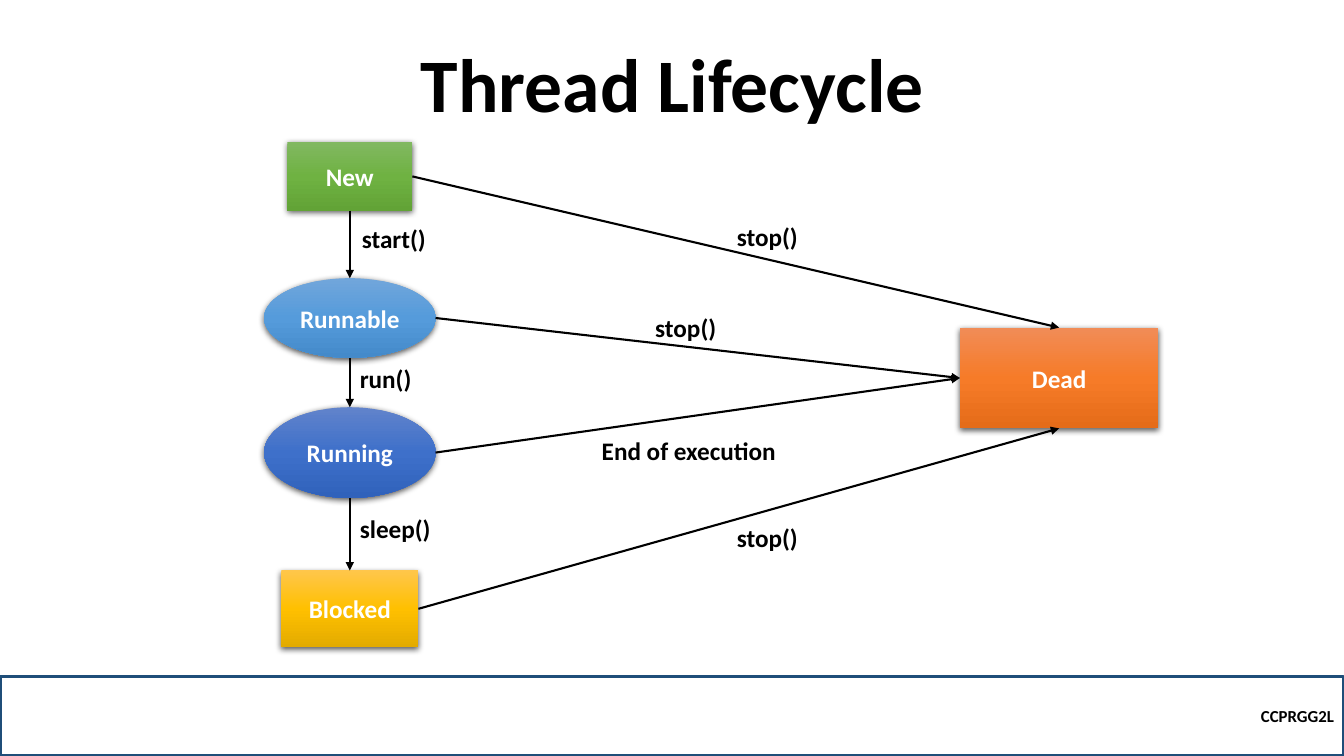
from copy import deepcopy

from lxml import etree
from pptx import Presentation
from pptx.dml.color import RGBColor
from pptx.enum.shapes import MSO_CONNECTOR, MSO_SHAPE
from pptx.enum.text import MSO_ANCHOR, MSO_AUTO_SIZE, PP_ALIGN
from pptx.oxml.ns import qn
from pptx.util import Inches, Pt

RECTANGLE, OVAL = MSO_SHAPE.RECTANGLE, MSO_SHAPE.OVAL
STRAIGHT = MSO_CONNECTOR.STRAIGHT
LEFT_ALIGN, CENTER, RIGHT_ALIGN = PP_ALIGN.LEFT, PP_ALIGN.CENTER, PP_ALIGN.RIGHT
ANCHOR_TOP, ANCHOR_MIDDLE, ANCHOR_BOTTOM = MSO_ANCHOR.TOP, MSO_ANCHOR.MIDDLE, MSO_ANCHOR.BOTTOM
NO_AUTOFIT, GROW = MSO_AUTO_SIZE.NONE, MSO_AUTO_SIZE.SHAPE_TO_FIT_TEXT
TOP, LEFT, BOTTOM, RIGHT = range(4)

BLACK = RGBColor(0x00, 0x00, 0x00)
WHITE = RGBColor(0xFF, 0xFF, 0xFF)
NAVY = RGBColor(0x1F, 0x4E, 0x79)
GREEN = (RGBColor(0x81, 0xB8, 0x61), RGBColor(0x6F, 0xB2, 0x42), RGBColor(0x62, 0xA3, 0x36))
ORANGE = (RGBColor(0xF1, 0x8C, 0x57), RGBColor(0xF6, 0x7B, 0x28), RGBColor(0xE5, 0x6C, 0x19))
SKY = (RGBColor(0x71, 0xA6, 0xDB), RGBColor(0x55, 0x9B, 0xDB), RGBColor(0x44, 0x8A, 0xCA))
BLUE = (RGBColor(0x61, 0x83, 0xCB), RGBColor(0x3E, 0x70, 0xCA), RGBColor(0x30, 0x62, 0xBB))
GOLD = (RGBColor(0xFF, 0xC6, 0x4B), RGBColor(0xFF, 0xC0, 0x00), RGBColor(0xE3, 0xAB, 0x00))


class Diagram:
    font = "Calibri"

    def __init__(self, slide):
        self.slide = slide

    def add_text(self, shape, text, size, color, align, anchor):
        frame = shape.text_frame
        frame.vertical_anchor = anchor
        paragraph = frame.paragraphs[0]
        paragraph.alignment = align
        run = paragraph.add_run()
        run.text = text
        run.font.name = self.font
        run.font.size = Pt(size)
        run.font.bold = True
        run.font.color.rgb = color
        return paragraph

    def title(self, text, left, top, width, height):
        shape = self.slide.shapes.title
        shape.left, shape.top = Inches(left), Inches(top)
        shape.width, shape.height = Inches(width), Inches(height)
        shape.text_frame.auto_size = NO_AUTOFIT
        paragraph = self.add_text(shape, text, 54, BLACK, CENTER, ANCHOR_BOTTOM)
        paragraph.line_spacing = 0.9

    def shape(self, kind, left, top, width, height):
        shape = self.slide.shapes.add_shape(
            kind, Inches(left), Inches(top), Inches(width), Inches(height))
        shape.shadow.inherit = False
        return shape

    def footer(self, text, left, top, width, height):
        shape = self.shape(RECTANGLE, left, top, width, height)
        shape.fill.background()
        shape.line.color.rgb = NAVY
        shape.line.width = Pt(2.25)
        self.add_text(shape, text, 12, BLACK, RIGHT_ALIGN, ANCHOR_MIDDLE)

    def state(self, text, kind, colors, left, top, width, height):
        shape = self.shape(kind, left, top, width, height)
        shape.line.fill.background()
        self.shade(shape, colors)
        self.cast_shadow(shape)
        self.add_text(shape, text, 18, WHITE, CENTER, ANCHOR_MIDDLE)
        return shape

    def shade(self, shape, colors):
        shape.fill.gradient()
        shape.fill.gradient_angle = 270
        stops = shape.element.spPr.find(qn("a:gradFill")).find(qn("a:gsLst"))
        stops.append(deepcopy(stops[0]))
        for index, (stop, color) in enumerate(zip(shape.fill.gradient_stops, colors)):
            stop.position = index / 2
            stop.color.rgb = color

    def cast_shadow(self, shape):
        effects = shape.element.spPr.find(qn("a:effectLst"))
        shadow = etree.SubElement(
            effects, qn("a:outerShdw"), blurRad=str(Pt(4.5)), dist=str(Pt(1.5)),
            dir="5400000", algn="ctr", rotWithShape="0")
        color = etree.SubElement(shadow, qn("a:srgbClr"), val=str(BLACK))
        etree.SubElement(color, qn("a:alpha"), val="63000")

    def side_point(self, shape, side):
        across = {LEFT: 0, RIGHT: shape.width}.get(side, shape.width // 2)
        down = {TOP: 0, BOTTOM: shape.height}.get(side, shape.height // 2)
        return shape.left + across, shape.top + down

    def arrow(self, source, source_side, target, target_side):
        connector = self.slide.shapes.add_connector(
            STRAIGHT, *self.side_point(source, source_side),
            *self.side_point(target, target_side))
        if source.auto_shape_type == RECTANGLE:
            connector.begin_connect(source, source_side)
        if target.auto_shape_type == RECTANGLE:
            connector.end_connect(target, target_side)
        connector.line.color.rgb = BLACK
        connector.line.width = Pt(1.5)
        properties = connector._element.spPr
        etree.SubElement(properties.find(qn("a:ln")), qn("a:tailEnd"), type="triangle")
        etree.SubElement(properties, qn("a:effectLst"))

    def label(self, text, left, top, width):
        box = self.slide.shapes.add_textbox(
            Inches(left), Inches(top), Inches(width), Inches(0.4))
        box.text_frame.word_wrap = False
        box.text_frame.auto_size = GROW
        self.add_text(box, text, 18, BLACK, LEFT_ALIGN, ANCHOR_TOP)


def main():
    presentation = Presentation()
    presentation.slide_width = Inches(13.33)
    presentation.slide_height = Inches(7.5)
    diagram = Diagram(presentation.slides.add_slide(presentation.slide_layouts[5]))

    diagram.title("Thread Lifecycle", 1.67, 0.54, 10, 0.79)
    diagram.footer("CCPRGG2L", 0, 6.71, 13.33, 0.79)

    new = diagram.state("New", RECTANGLE, GREEN, 2.85, 1.41, 1.24, 0.68)
    dead = diagram.state("Dead", RECTANGLE, ORANGE, 9.52, 3.25, 1.97, 1)
    runnable = diagram.state("Runnable", OVAL, SKY, 2.62, 2.76, 1.7, 0.79)
    running = diagram.state("Running", OVAL, BLUE, 2.62, 4.04, 1.7, 0.9)
    blocked = diagram.state("Blocked", RECTANGLE, GOLD, 2.79, 5.66, 1.36, 0.76)

    lifecycle = (new, runnable, running, blocked)
    for state, dead_side in zip(lifecycle, (TOP, LEFT, LEFT, BOTTOM)):
        diagram.arrow(state, RIGHT, dead, dead_side)
    for state, following in zip(lifecycle, lifecycle[1:]):
        diagram.arrow(state, BOTTOM, following, TOP)

    for text, left, top, width in (
        ("stop()", 7.21, 2.15, 0.81),
        ("stop()", 6.4, 3.05, 0.81),
        ("End of execution", 5.87, 4.27, 1.94),
        ("stop()", 7.21, 5.13, 0.81),
        ("start()", 3.49, 2.17, 0.84),
        ("run()", 3.47, 3.56, 0.72),
        ("sleep()", 3.47, 5.04, 0.91),
    ):
        diagram.label(text, left, top, width)

    presentation.save("out.pptx")


if __name__ == "__main__":
    main()
